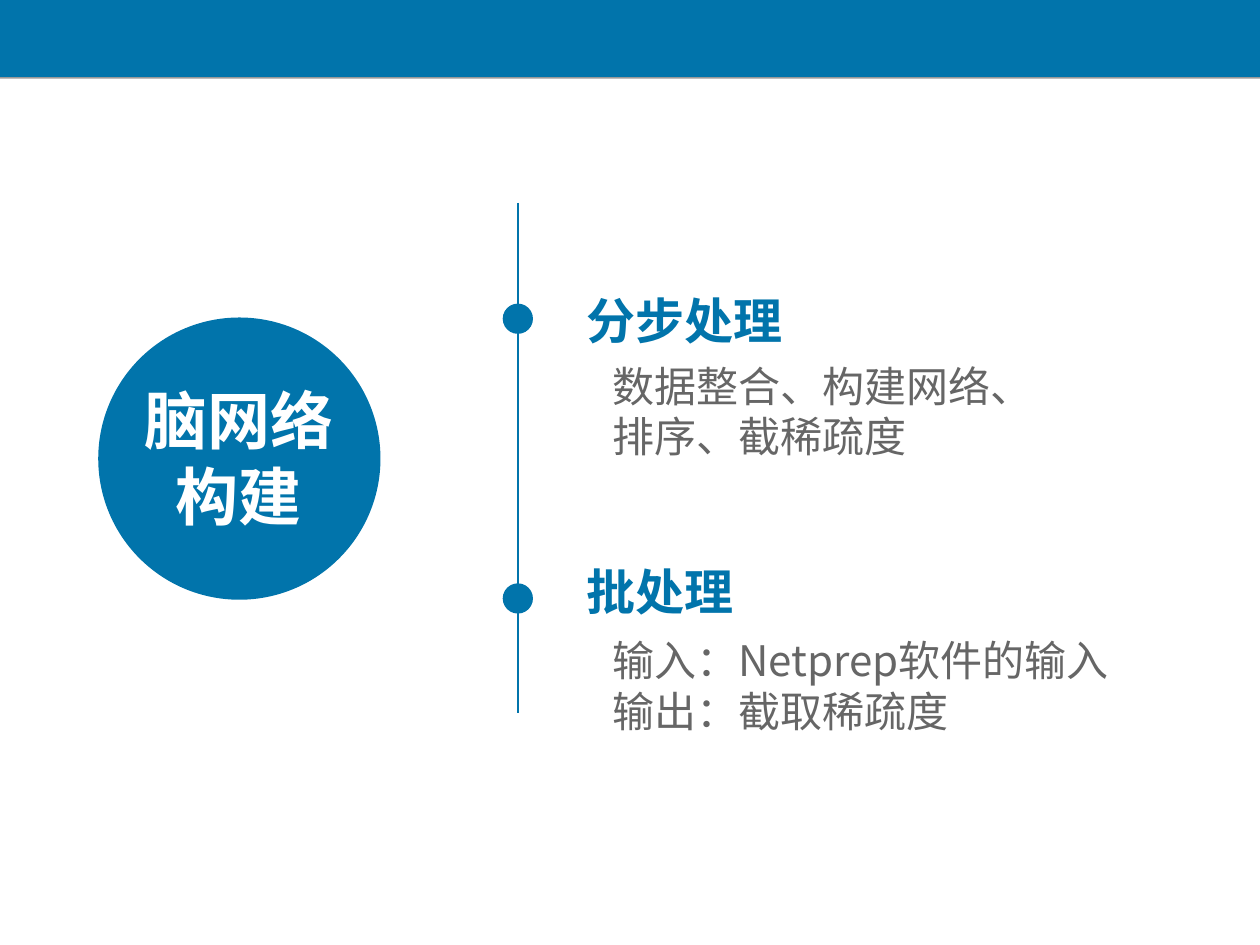
"""Build the brain network construction slide."""
from lxml.etree import SubElement
from pptx import Presentation
from pptx.dml.color import RGBColor
from pptx.enum.shapes import MSO_CONNECTOR, MSO_SHAPE
from pptx.enum.text import PP_ALIGN
from pptx.oxml.ns import qn
from pptx.util import Inches, Pt

COLORS = {"blue": "0174AB", "gray": "666666", "white": "FFFFFF", "black": "000000"}
FONT = "Noto Sans CJK SC"

deck = Presentation()
deck.slide_width, deck.slide_height = Inches(10), Inches(7.5)
page = deck.slides.add_slide(deck.slide_layouts[6])


def add_blue_shape(kind, left, top, width, height):
    shape = page.shapes.add_shape(
        kind, Inches(left), Inches(top), Inches(width), Inches(height))
    shape.shadow.inherit = False
    shape.fill.solid()
    shape.fill.fore_color.rgb = RGBColor.from_string(COLORS["blue"])
    shape.line.fill.background()
    return shape


def add_text(text, left, top, width, height, size, color, bold=False, align=PP_ALIGN.LEFT):
    box = page.shapes.add_textbox(
        Inches(left), Inches(top), Inches(width), Inches(height))
    box.text_frame.word_wrap = True
    box.text_frame.text = text
    for para in box.text_frame.paragraphs:
        para.alignment = align
        para.line_spacing = Pt(size * 1.2)
        for span in para.runs:
            span.font.size = Pt(size)
            span.font.bold = bold
            span.font.name = FONT
            span.font.color.rgb = RGBColor.from_string(COLORS[color])
            SubElement(span.font._element, qn("a:ea"), typeface=FONT)


banner = add_blue_shape(MSO_SHAPE.RECTANGLE, 0, 0, 10, 0.61)
effects = banner._element.spPr.find(qn("a:effectLst"))
shadow = SubElement(effects, qn("a:outerShdw"), blurRad="0",
                    dist=str(Pt(1)), dir="5400000", rotWithShape="0")
shadow_color = SubElement(shadow, qn("a:srgbClr"), val=COLORS["black"])
SubElement(shadow_color, qn("a:alpha"), val="40000")

timeline = page.shapes.add_connector(
    MSO_CONNECTOR.STRAIGHT, Inches(4.11), Inches(1.61), Inches(4.11), Inches(5.66))
timeline.line.color.rgb = RGBColor.from_string(COLORS["blue"])
timeline.line.width = Pt(1.5)
SubElement(timeline._element.spPr, qn("a:effectLst"))

steps = [
    (2.41, 2.26, "分步处理", 2.81, "数据整合、构建网络、\n排序、截稀疏度"),
    (4.63, 4.41, "批处理", 4.99, "输入：Netprep软件的输入\n输出：截取稀疏度"),
]
for dot_top, title_top, title, detail_top, detail in steps:
    add_blue_shape(MSO_SHAPE.OVAL, 3.99, dot_top, 0.24, 0.24)
    add_text(title, 4.56, title_top, 2.38, 0.57, 28, "blue", bold=True)
    add_text(detail, 4.76, detail_top, 4.69, 0.9, 24, "gray")

add_blue_shape(MSO_SHAPE.OVAL, 0.78, 2.52, 2.24, 2.24)
add_text("脑网络构建", 0.93, 2.98, 1.93, 1.3, 36, "white", bold=True, align=PP_ALIGN.CENTER)

deck.save("out.pptx")
